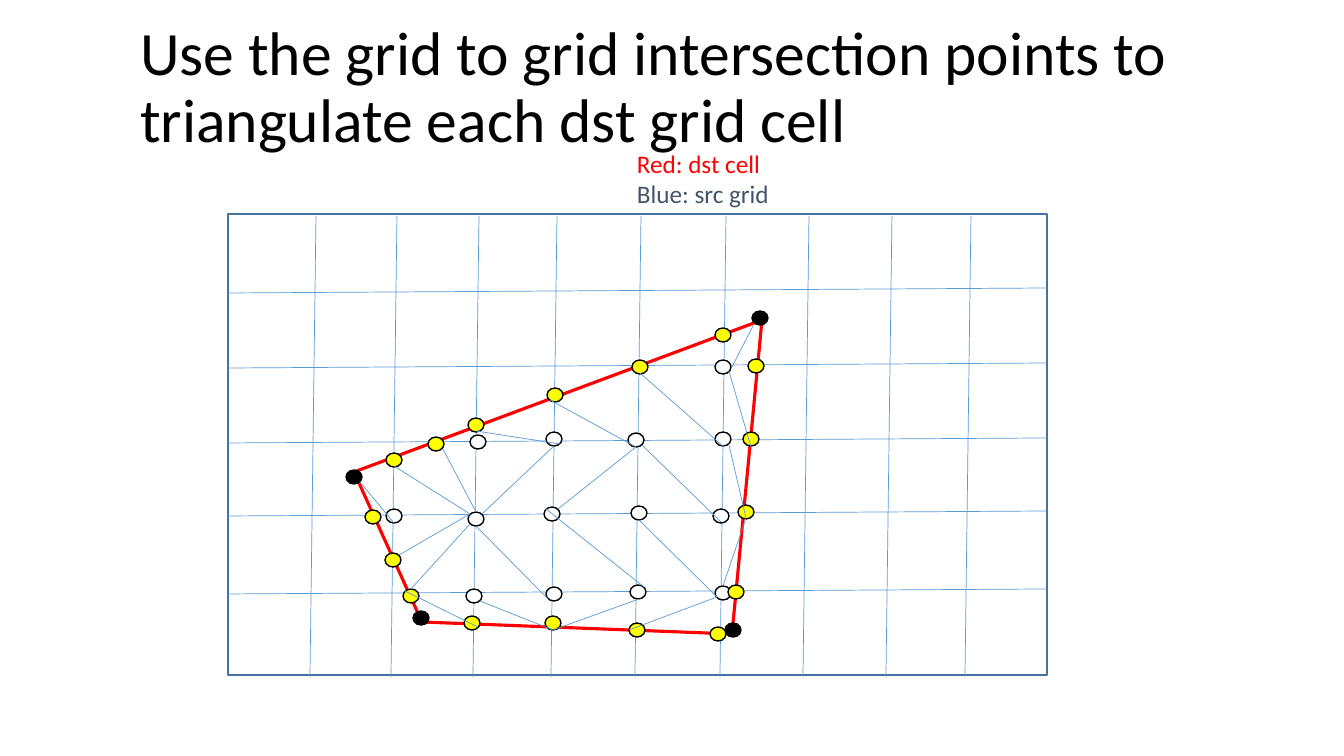
import itertools

import lxml.etree
import pptx
import pptx.dml.color
import pptx.enum.shapes
import pptx.enum.text
import pptx.oxml.ns
import pptx.util

RGB = pptx.dml.color.RGBColor
BLACK = RGB(0x00, 0x00, 0x00)
WHITE = RGB(0xFF, 0xFF, 0xFF)
RED = RGB(0xFF, 0x00, 0x00)
YELLOW = RGB(0xFF, 0xFF, 0x00)
BLUE = RGB(0x5B, 0x9B, 0xD5)
FRAME_BLUE = RGB(0x43, 0x73, 0x9E)
SLATE = RGB(0x44, 0x54, 0x6A)
FONT = "Calibri"

COLUMNS = [88, 169, 251, 329, 413, 498, 581, 664, 743]
ROWS = [79, 154, 229, 302, 380]
CELL = [(126, 258), (194, 408), (504, 420), (534, 106)]
CORNERS = [(126, 263), (532, 104), (505, 416), (193, 404)]
INNER_NODES = [
    (495, 153),
    (250, 228), (326, 225), (408, 226), (495, 225),
    (166, 302), (248, 305), (324, 300), (411, 299), (493, 302),
    (246, 382), (326, 380), (410, 378), (495, 379),
]
CROSSINGS = [
    (495, 121), (528, 152), (523, 225), (518, 298), (508, 378),
    (409, 416), (490, 420), (325, 409), (244, 409),
    (183, 382), (165, 346), (145, 303),
    (166, 246), (208, 230), (248, 211), (327, 181), (412, 153),
]
TRIANGLE_EDGES = [
    (166, 252, 242, 300), (215, 235, 248, 298), (132, 268, 166, 309),
    (248, 217, 332, 230), (322, 186, 408, 233), (412, 159, 496, 233),
    (408, 233, 330, 295), (414, 231, 493, 308), (326, 232, 254, 300),
    (526, 110, 504, 153), (501, 157, 523, 233), (501, 231, 518, 304),
    (518, 304, 495, 372), (411, 306, 489, 383), (318, 295, 416, 373),
    (248, 312, 320, 385), (242, 310, 183, 375), (242, 300, 171, 341),
    (252, 387, 325, 416), (177, 377, 250, 413), (411, 385, 325, 416),
    (489, 383, 401, 416),
]


def px(n):
    """Turn pixels into EMU."""
    return pptx.util.Emu(round(n * 914400 / 100.8))


def add_run(p, text, size, color):
    """Add one formatted run to a paragraph."""
    r = p.add_run()
    r.text = text
    r.font.name = FONT
    r.font.size = pptx.util.Pt(size)
    r.font.color.rgb = color


def add_line(s, box, ends, color, width):
    """Draw a straight line between two points of the box."""
    x, y = box[:2]
    x1, y1, x2, y2 = ends
    line = s.shapes.add_connector(
        pptx.enum.shapes.MSO_CONNECTOR.STRAIGHT,
        px(x + x1), px(y + y1), px(x + x2), px(y + y2))
    line.line.color.rgb = color
    line.line.width = pptx.util.Pt(width)
    sp_pr = line._element.spPr
    lxml.etree.SubElement(sp_pr, pptx.oxml.ns.qn("a:effectLst"))


def add_outlined(s, kind, box, fill, color):
    """Draw a preset shape with a thin outline and an optional fill."""
    sp = s.shapes.add_shape(kind, *map(px, box))
    sp.shadow.inherit = False
    if fill is None:
        sp.fill.background()
    else:
        sp.fill.solid()
        sp.fill.fore_color.rgb = fill
    sp.line.color.rgb = color
    sp.line.width = pptx.util.Pt(1)


def add_dots(s, box, centres, fill):
    """Draw a dot at each centre inside the box."""
    w, h = 16, 14
    for x, y in centres:
        dot = (box[0] + x - w / 2, box[1] + y - h / 2, w, h)
        add_outlined(s, pptx.enum.shapes.MSO_SHAPE.OVAL, dot, fill, BLACK)


def add_title(s, box):
    """Place and format the slide title."""
    sp = s.shapes.title
    sp.left, sp.top, sp.width, sp.height = map(px, box)
    tf = sp.text_frame
    tf.auto_size = pptx.enum.text.MSO_AUTO_SIZE.NONE
    tf.vertical_anchor = pptx.enum.text.MSO_ANCHOR.MIDDLE
    p = tf.paragraphs[0]
    p.alignment = pptx.enum.text.PP_ALIGN.LEFT
    p.line_spacing = 0.9
    add_run(p, "Use the grid to grid intersection points to "
            "triangulate each dst grid cell", 44, BLACK)


def add_legend(s, box):
    """Write the colour key."""
    tf = s.shapes.add_textbox(*map(px, box)).text_frame
    tf.word_wrap = False
    tf.auto_size = pptx.enum.text.MSO_AUTO_SIZE.SHAPE_TO_FIT_TEXT
    add_run(tf.paragraphs[0], "Red: dst cell", 18, RED)
    add_run(tf.add_paragraph(), "Blue: src grid", 18, SLATE)


def add_source_grid(s, box):
    """Draw the frame and the slightly slanted source grid."""
    w, h = box[2:]
    add_outlined(s, pptx.enum.shapes.MSO_SHAPE.RECTANGLE, box, None, FRAME_BLUE)
    for x in COLUMNS:
        add_line(s, box, (x, 2, x - 6, h + 2), BLUE, 0.5)
    for y in ROWS:
        add_line(s, box, (0, y, w, y - 5), BLUE, 0.5)


def add_destination_cell(s, box):
    """Draw the destination cell, its points and its triangulation."""
    for a, b in itertools.pairwise(CELL + CELL[:1]):
        add_line(s, box, a + b, RED, 2.25)
    add_dots(s, box, CORNERS, BLACK)
    add_dots(s, box, INNER_NODES, WHITE)
    add_dots(s, box, CROSSINGS, YELLOW)
    for ends in TRIANGLE_EDGES:
        add_line(s, box, ends, BLUE, 0.5)


def build():
    """Build and save the presentation."""
    prs = pptx.Presentation()
    prs.slide_width, prs.slide_height = px(1344), px(756)
    s = prs.slides.add_slide(prs.slide_layouts[5])
    grid = (228, 214, 819, 461)
    add_title(s, (130, 16, 1159, 146))
    add_source_grid(s, grid)
    add_legend(s, (627, 143, 154, 72))
    add_destination_cell(s, grid)
    prs.save("out.pptx")


build()
